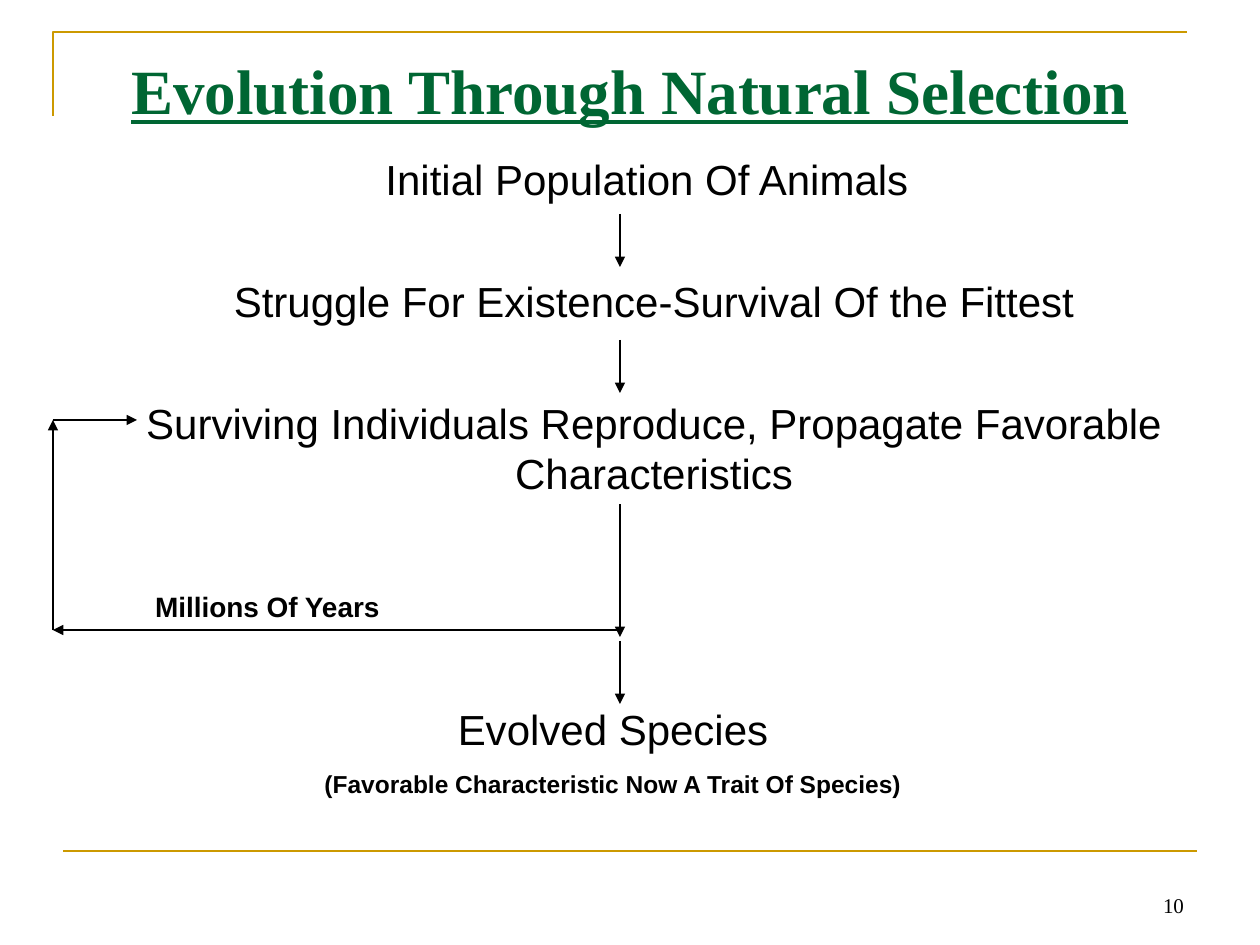
from lxml.etree import SubElement
from pptx import Presentation
from pptx.dml.color import RGBColor
from pptx.enum.shapes import MSO_CONNECTOR as Connector
from pptx.enum.text import MSO_ANCHOR as Anchor, MSO_AUTO_SIZE as AutoSize, PP_ALIGN as Align
from pptx.oxml.ns import qn
from pptx.util import Pt

EMU_PER_PX = 914400 / 126
COLORS = {"gold": "CC9900", "green": "006633", "black": "000000"}


def px(length):
    return round(length * EMU_PER_PX)


class SlideBuilder:
    def __init__(self, deck):
        self.page = deck.slides.add_slide(deck.slide_layouts[1])
        self.sans = "Arial"
        self.serif = "Times New Roman"

    def color(self, name):
        return RGBColor.from_string(COLORS[name])

    def place(self, box, left, top, width, height):
        box.left, box.top = px(left), px(top)
        box.width, box.height = px(width), px(height)

    def setup(self, box, anchor=Anchor.TOP, top_inset=6):
        frame = box.text_frame
        frame.word_wrap = True
        frame.auto_size = AutoSize.NONE
        frame.vertical_anchor = anchor
        frame.margin_left = frame.margin_right = px(13)
        frame.margin_top, frame.margin_bottom = px(top_inset), px(6)
        return frame

    def add_span(self, para, text, size, font=None, color="black", bold=False,
                 underline=False, align=Align.CENTER, before=0):
        para.alignment = align
        para.space_before = Pt(before)
        span = para.add_run()
        span.text = text
        span.font.name = font or self.sans
        span.font.size = Pt(size)
        span.font.bold = bold
        span.font.underline = underline
        span.font.color.rgb = self.color(color)

    def title(self, text, area):
        box = self.page.shapes.title
        self.place(box, *area)
        frame = self.setup(box, top_inset=14)
        self.add_span(frame.paragraphs[0], text, 36, self.serif, "green", True, True)

    def body(self, steps, area):
        box = self.page.placeholders[1]
        self.place(box, *area)
        frame = self.setup(box)
        for index, (text, indent) in enumerate(steps):
            para = frame.add_paragraph() if index else frame.paragraphs[0]
            properties = para._p.get_or_add_pPr()
            properties.set("marL", str(px(indent)))
            properties.set("indent", "0")
            SubElement(properties, qn("a:buNone"))
            self.add_span(para, text, 24, before=41 if index else 0)

    def text(self, lines, area, anchor=Anchor.TOP):
        box = self.page.shapes.add_textbox(0, 0, 0, 0)
        self.place(box, *area)
        frame = self.setup(box, anchor)
        for index, (text, style) in enumerate(lines):
            para = frame.add_paragraph() if index else frame.paragraphs[0]
            self.add_span(para, text, **style)

    def line(self, start, end, color="black", width=0.75, arrow=True):
        line = self.page.shapes.add_connector(
            Connector.STRAIGHT, *map(px, start + end))
        line.line.color.rgb = self.color(color)
        line.line.width = Pt(width)
        properties = line._element.spPr
        if arrow:
            SubElement(properties.find(qn("a:ln")), qn("a:tailEnd"), type="triangle")
        SubElement(properties, qn("a:effectLst"))

    def corner(self, points):
        (left, bottom), *rest = points
        builder = self.page.shapes.build_freeform(left, bottom, scale=EMU_PER_PX)
        builder.add_line_segments(rest, close=False)
        shape = builder.convert_to_shape()
        shape.fill.background()
        shape.shadow.inherit = False
        shape.line.color.rgb = self.color("gold")
        shape.line.width = Pt(1.5)


def main():
    deck = Presentation()
    deck.slide_width, deck.slide_height = px(1260), px(945)
    slide = SlideBuilder(deck)

    slide.corner([(53, 116), (53, 32), (1187, 32)])
    slide.line((63, 851), (1197, 851), "gold", 1.5, arrow=False)
    slide.text([("10", {"size": 12, "font": slide.serif, "align": Align.RIGHT})],
               (903, 861, 294, 63), Anchor.BOTTOM)

    slide.title("Evolution Through Natural Selection", (63, 38, 1134, 88))
    slide.body([
        ("Initial Population Of Animals", 34),
        ("Struggle For Existence-Survival Of the Fittest", 48),
        ("Surviving Individuals Reproduce, Propagate Favorable Characteristics", 48),
    ], (63, 147, 1134, 698))

    center, loop = 620, 53
    for top, bottom in [(214, 267), (340, 393), (504, 637), (641, 704)]:
        slide.line((center, top), (center, bottom))
    corners = [(center, 630), (loop, 630), (loop, 420), (137, 420)]
    for start, end in zip(corners, corners[1:]):
        slide.line(start, end)

    slide.text([("Millions Of Years", {"size": 16, "bold": True})],
               (115, 584, 305, 47))
    slide.text([
        ("Evolved Species", {"size": 24}),
        ("(Favorable Characteristic Now A Trait Of Species)",
         {"size": 14, "bold": True, "before": 8.8}),
    ], (230, 697, 766, 108))
    deck.save("out.pptx")


if __name__ == "__main__":
    main()
